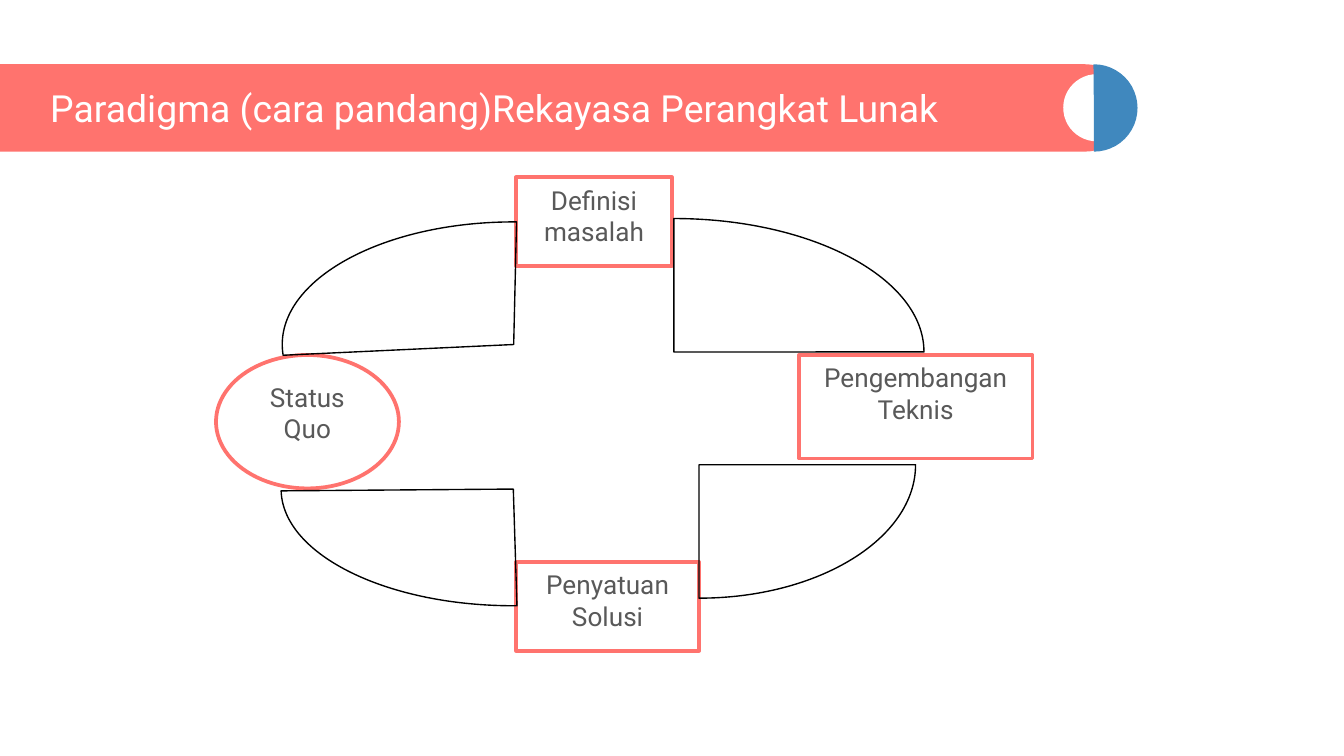
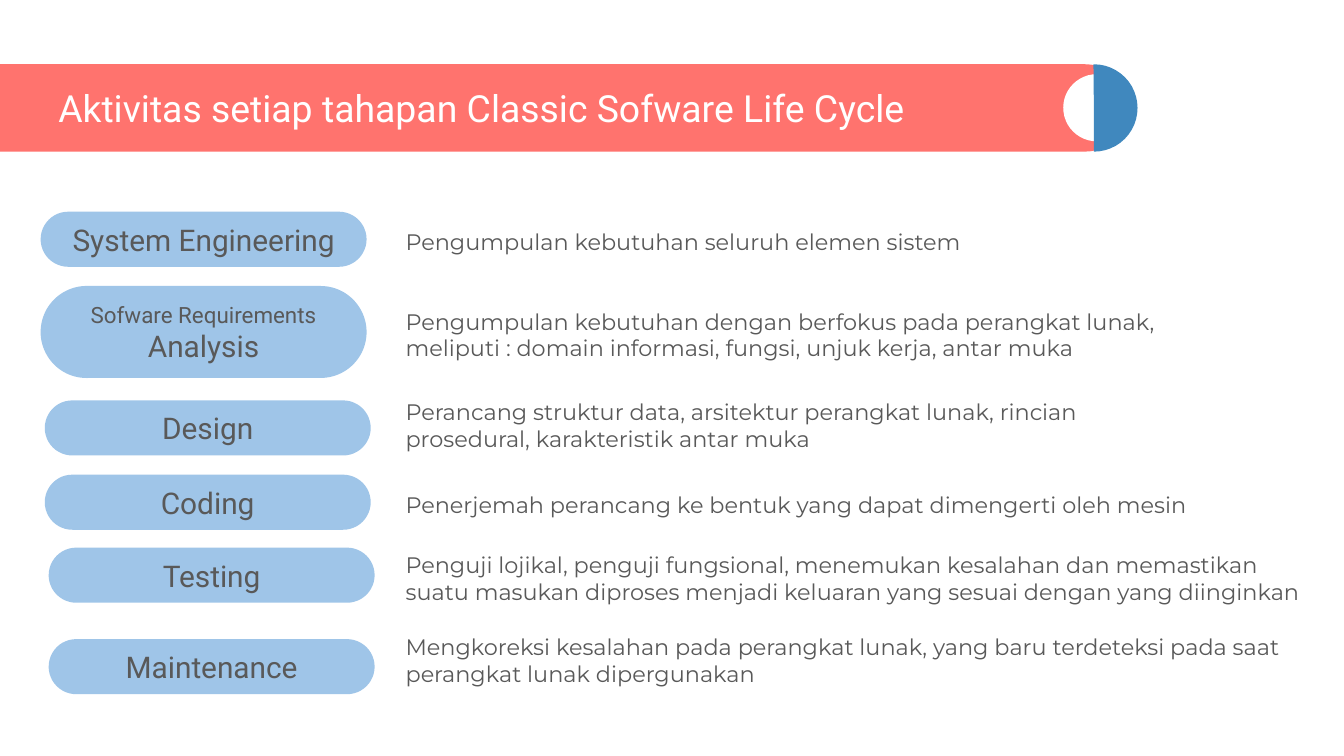
"""Builds two slides on the paradigm and the stages of software engineering."""
from math import cos, radians, sin, tan

from pptx import Presentation
from pptx.dml.color import RGBColor
from pptx.enum.shapes import MSO_SHAPE
from pptx.enum.text import MSO_ANCHOR, MSO_AUTO_SIZE, PP_ALIGN
from pptx.oxml.ns import qn
from pptx.util import Pt

RECT, OVAL = MSO_SHAPE.RECTANGLE, MSO_SHAPE.OVAL
PILL, PIE = MSO_SHAPE.ROUNDED_RECTANGLE, MSO_SHAPE.PIE
TOP, MIDDLE = MSO_ANCHOR.TOP, MSO_ANCHOR.MIDDLE
LEFT, CENTER = PP_ALIGN.LEFT, PP_ALIGN.CENTER
FIXED = MSO_AUTO_SIZE.NONE

CORAL, BLUE, SKY = "FF736E", "4088BE", "9FC5E8"
WHITE, GREY, BLACK = "FFFFFF", "595959", "000000"
HEAD, BODY = "Roboto", "Montserrat"


def tint(fill, color):
    fill.solid()
    fill.fore_color.rgb = RGBColor.from_string(color)


def write(shape, text, size, face, color, align, anchor, pad):
    frame = shape.text_frame
    frame.word_wrap = True
    frame.auto_size = FIXED
    frame.vertical_anchor = anchor
    frame.margin_left = frame.margin_right = Pt(7.2)
    frame.margin_top, frame.margin_bottom = Pt(pad), Pt(min(pad, 7.2))
    frame.text = text
    for par in frame.paragraphs:
        par.alignment = align
        par.font.size = Pt(size)
        par.font.name = face
        tint(par.font.fill, color)


deck = Presentation()
deck.slide_width, deck.slide_height = Pt(720), Pt(405)
layout = deck.slide_layouts[5]
for holder in list(layout.placeholders)[1:]:
    holder.element.getparent().remove(holder.element)

titles = [
    ("Paradigma (cara pandang)Rekayasa Perangkat Lunak", 19.7),
    ("Aktivitas setiap tahapan Classic Sofware Life Cycle", 24),
]
for text, left in titles:
    title = deck.slides.add_slide(layout).shapes.title
    title.left, title.top = Pt(left), Pt(42.9)
    title.width, title.height = Pt(557.3 - left), Pt(29.5)
    write(title, text, 20, HEAD, WHITE, LEFT, MIDDLE, 7.2)
cycle, stages = deck.slides

banner = [
    (PILL, -23, 34.4, 627.8, 46.8, CORAL, [0.5]),
    (OVAL, 569.6, 39.7, 36, 36, WHITE, []),
    (PIE, 562.6, 34.4, 46.8, 46.8, BLUE, [53.67, 162]),
]
parts = []
for kind, left, top, width, height, color, bends in banner:
    part = cycle.shapes.add_shape(kind, Pt(left), Pt(top), Pt(width), Pt(height))
    for i, bend in enumerate(bends):
        part.adjustments[i] = bend
    part.rotation = 180 if kind != PILL else 0
    part.shadow.inherit = False
    tint(part.fill, color)
    part.line.fill.background()
    parts.append(part)
for part in parts:
    layout.placeholders[0].element.addprevious(part.element)

boxes = [
    (RECT, "Definisi masalah", 276.5, 95, 83.5, 47.5),
    (RECT, "Penyatuan Solusi", 276.5, 301.2, 98, 47.5),
    (RECT, "Pengembangan Teknis", 428, 190.2, 125.1, 55.5),
    (OVAL, "Status Quo", 115.7, 190.2, 98, 71.5),
]
for kind, text, left, top, width, height in boxes:
    box = cycle.shapes.add_shape(kind, Pt(left), Pt(top), Pt(width), Pt(height))
    box.shadow.inherit = False
    tint(box.fill, WHITE)
    tint(box.line.fill, CORAL)
    box.line.width = Pt(2)
    write(box, text, 14, HEAD, GREY, CENTER, TOP, 3.6)

wedges = [
    (361, 188.6, 134, 71.5, 270, 360),
    (374.5, 249, 116, 71.5, 0, 90),
    (275.2, 184.6, 124, 65.7, 175, 270.7),
    (275, 262, 124.4, 62.5, 89.1, 179.1),
]
for mid, base, wide, tall, start, end in wedges:
    first, last = radians(start), radians(end)
    pull = 4 / 3 * tan((last - first) / 4)
    curve = [
        (Pt(mid + wide * (cos(turn) - bend * sin(turn))),
         Pt(base + tall * (sin(turn) + bend * cos(turn))))
        for turn, bend in ((first, 0), (first, pull), (last, -pull), (last, 0))
    ]
    pen = cycle.shapes.build_freeform(*curve[0])
    pen.add_line_segments([curve[3], (Pt(mid), Pt(base))], close=True)
    wedge = pen.convert_to_shape()
    wedge.shadow.inherit = False
    wedge.fill.background()
    tint(wedge.line.fill, BLACK)
    wedge.line.width = Pt(0.75)
    edge = next(wedge.element.iter(qn("a:lnTo")))
    bow = edge.makeelement(qn("a:cubicBezTo"), {})
    for x, y in curve[1:]:
        spot = {"x": str(x - wedge.left), "y": str(y - wedge.top)}
        bow.append(edge.makeelement(qn("a:pt"), spot))
    edge.getparent().replace(edge, bow)

pills = [
    ("System Engineering", 21.8, 113.4, 29.5),
    ("Sofware Requirements ", 21.8, 153.2, 49.3),
    ("Design", 24, 214.5, 29.5),
    ("Coding", 24, 254.3, 29.5),
    ("Testing", 26.1, 293.4, 29.5),
    ("Maintenance", 26.1, 342.4, 29.5),
]
for name, left, top, height in pills:
    pill = stages.shapes.add_shape(PILL, Pt(left), Pt(top), Pt(174.6), Pt(height))
    pill.adjustments[0] = 0.5
    pill.shadow.inherit = False
    tint(pill.fill, SKY)
    pill.line.fill.background()
    write(pill, name, 16, HEAD, GREY, CENTER, MIDDLE, 7.2)
    if name.endswith(" "):
        label = pill.text_frame.paragraphs[0]
        label.add_run().text = "Analysis"
        for run, size in zip(label.runs, (12, 16)):
            run.font.size = Pt(size)

notes = [
    (115.2, 24.5, 435, 7.2, "Pengumpulan kebutuhan seluruh elemen sistem"),
    (143.3, 62.6, 435, 21.6,
     "Pengumpulan kebutuhan dengan berfokus pada perangkat lunak, "
     "meliputi : domain informasi, fungsi, unjuk kerja, antar muka"),
    (206, 62.6, 435, 7.2,
     "Perancang struktur data, arsitektur perangkat lunak, rincian\n"
     "prosedural, karakteristik antar muka"),
    (256.1, 42.5, 435, 7.2,
     "Penerjemah perancang ke bentuk yang dapat dimengerti oleh mesin"),
    (291.6, 36, 500.4, 3.6,
     "Penguji lojikal, penguji fungsional, menemukan kesalahan dan memastikan "
     "suatu masukan diproses menjadi keluaran yang sesuai dengan yang diinginkan"),
    (335.5, 36, 500.4, 3.6,
     "Mengkoreksi kesalahan pada perangkat lunak, yang baru terdeteksi pada saat\n"
     "perangkat lunak dipergunakan"),
]
for top, height, width, pad, text in notes:
    note = stages.shapes.add_textbox(Pt(210.2), Pt(top), Pt(width), Pt(height))
    write(note, text, 12, BODY, GREY, LEFT, TOP, pad)

deck.save("out.pptx")
